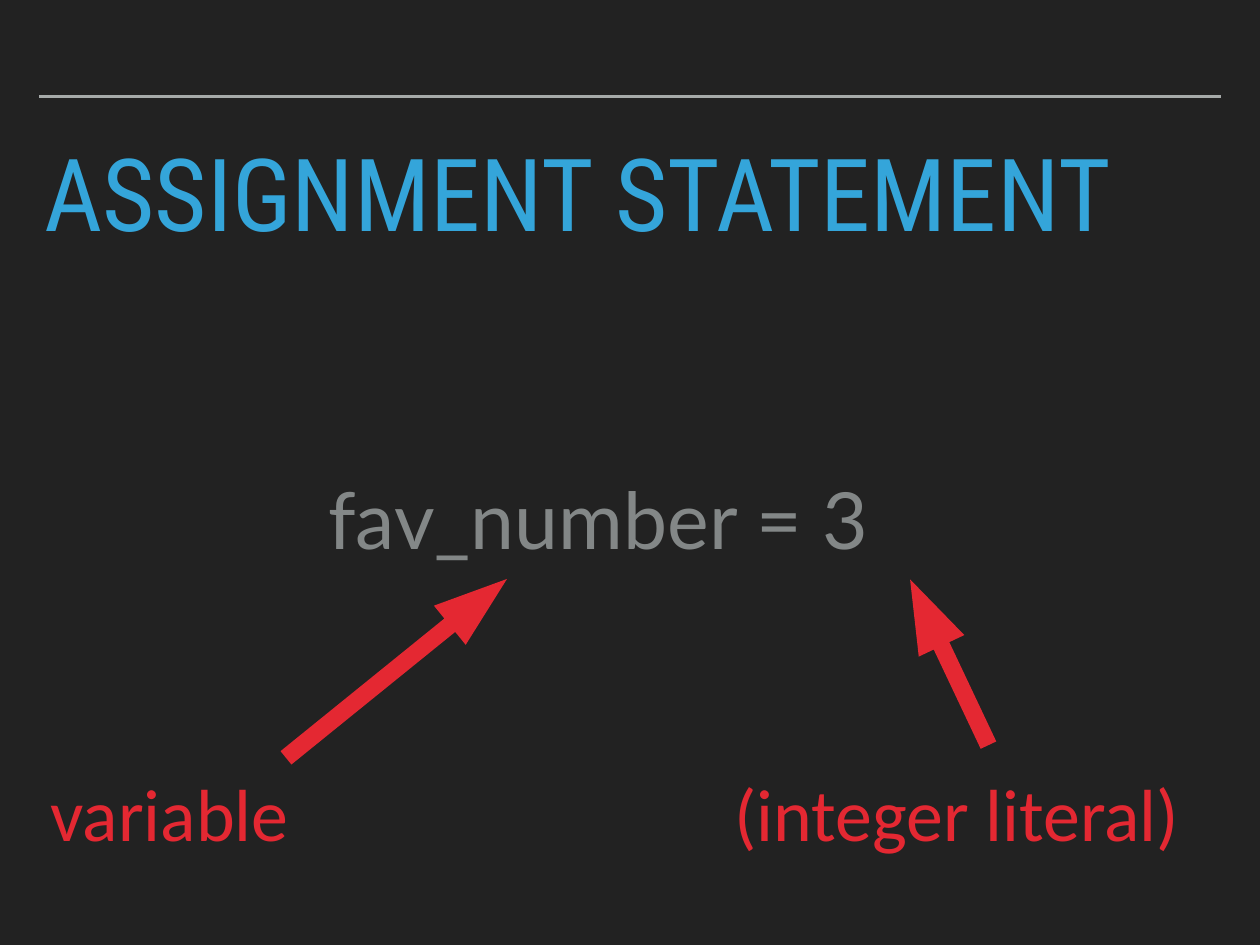
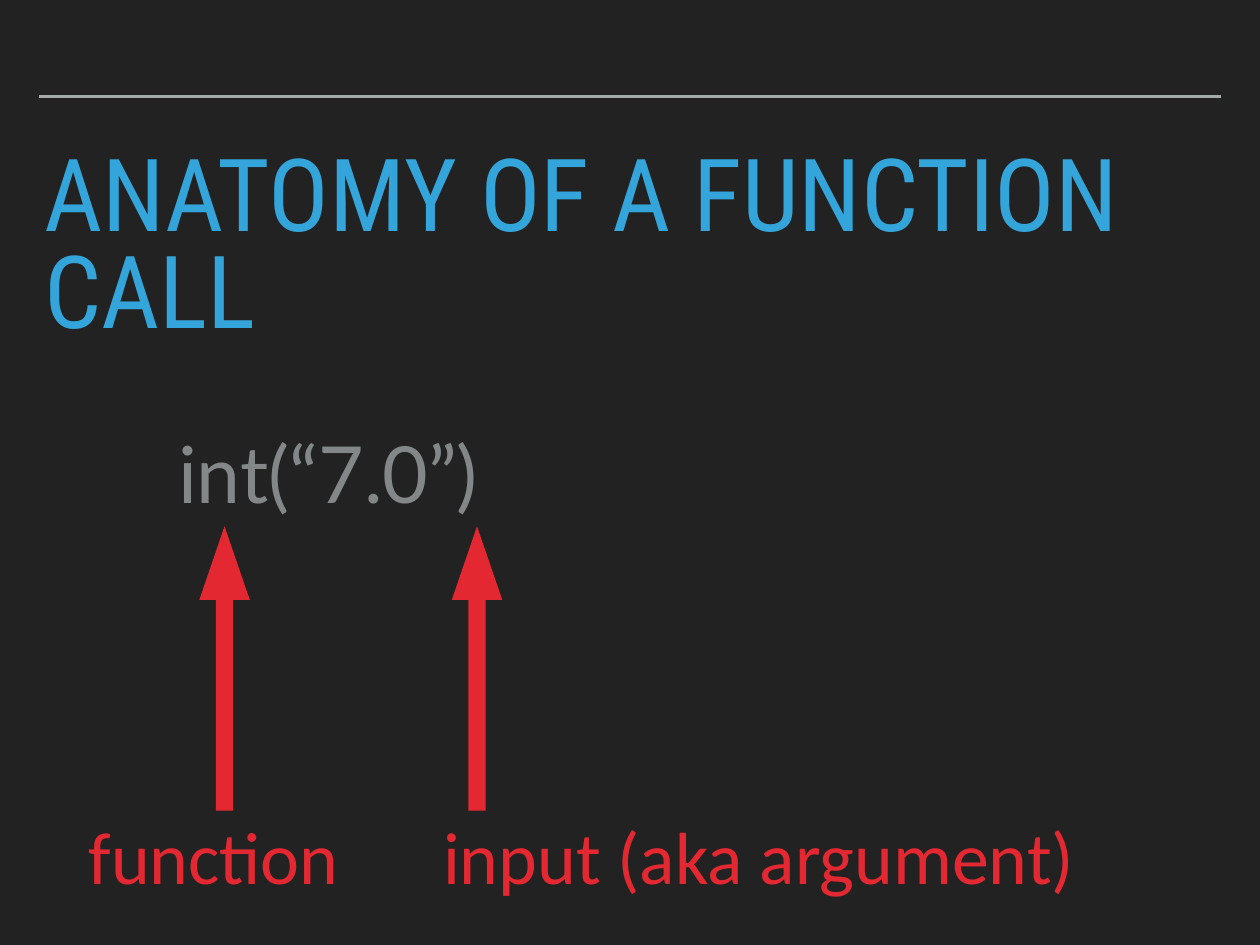
from dataclasses import dataclass

from lxml import etree
from pptx import Presentation
from pptx import util as u
from pptx.dml.color import RGBColor
from pptx.enum import shapes, text
from pptx.oxml import ns

WIDTH, HEIGHT = u.Inches(14.22), u.Inches(10.67)
BACKGROUND, RULE, BLUE, GREY, RED = "222222", "A6AAA9", "34A5DA", "838787", "E42832"
MARGIN, RULE_ROW = 3.1, 10.2
SHAFT, HEAD = 0.342, 1.459


@dataclass(frozen=True)
class Style:
    font: str
    size: float
    color: str
    height: float
    space_before: float = 24
    line_spacing: float = 1.0
    anchor: text.MSO_ANCHOR = text.MSO_ANCHOR.MIDDLE


@dataclass(frozen=True)
class Label:
    """Words in a box; places are percent of the slide."""
    words: str
    left: float
    top: float
    width: float
    style: Style


@dataclass(frozen=True)
class Arrow:
    """Pointer by its centre; length is percent of the slide width."""
    center_x: float
    center_y: float
    length: float
    angle: float


@dataclass(frozen=True)
class Page:
    title: str
    labels: tuple[Label, ...]
    arrows: tuple[Arrow, ...]


TITLE = Style("Roboto Condensed", 82, BLUE, 12, 19, 0.8, text.MSO_ANCHOR.TOP)
CODE = Style("Lato", 64, GREY, 11.06)
NOTE = Style("Calibri", 60, RED, 11.72)

PAGES = (
    Page(
        "ASSIGNMENT STATEMENT",
        (
            Label("fav_number = 3", 25.66, 49.31, 48.66, CODE),
            Label("variable", 3.59, 80.06, 22.43, NOTE),
            Label("(integer literal)", 57.87, 80.06, 40.5, NOTE),
        ),
        (Arrow(31.47, 70.73, 22.57, 321), Arrow(75.34, 70.08, 14.56, 244.7)),
    ),
    Page(
        "ANATOMY OF A FUNCTION CALL",
        (
            Label("int(“7.0”)", 13.71, 44.44, 35.02, CODE),
            Label("function", 6.61, 84.66, 22.85, NOTE),
            Label("input (aka argument)", 34.74, 84.66, 57.1, NOTE),
        ),
        (Arrow(17.82, 70.73, 22.57, 270), Arrow(37.86, 70.73, 22.57, 270)),
    ),
)


def across(share: float) -> int:
    return round(WIDTH * share / 100)


def down(share: float) -> int:
    return round(HEIGHT * share / 100)


def paint(fill, color: str) -> None:
    fill.solid()
    fill.fore_color.rgb = RGBColor.from_string(color)


def apply_format(target, values: dict) -> None:
    for name, value in values.items():
        setattr(target, name, value)


def draw_rule(slide) -> None:
    rule = slide.shapes.add_connector(
        shapes.MSO_CONNECTOR.STRAIGHT,
        across(MARGIN), down(RULE_ROW), across(100 - MARGIN), down(RULE_ROW),
    )
    rule.line.width = u.Pt(2)
    paint(rule.line.fill, RULE)
    properties = rule.element.find(ns.qn("p:spPr"))
    etree.SubElement(properties, ns.qn("a:effectLst"))


def draw_label(slide, label: Label) -> None:
    style = label.style
    frame = slide.shapes.add_textbox(
        across(label.left), down(label.top), across(label.width), down(style.height)
    ).text_frame
    inset = u.Inches(0.06)
    apply_format(frame, {
        "word_wrap": True,
        "auto_size": text.MSO_AUTO_SIZE.NONE,
        "vertical_anchor": style.anchor,
        "margin_left": inset,
        "margin_top": inset,
        "margin_right": inset,
        "margin_bottom": inset,
    })
    paragraph = frame.paragraphs[0]
    apply_format(paragraph, {
        "alignment": text.PP_ALIGN.LEFT,
        "space_before": u.Pt(style.space_before),
        "line_spacing": style.line_spacing,
    })
    run = paragraph.add_run()
    run.text = label.words
    apply_format(run.font, {"name": style.font, "size": u.Pt(style.size)})
    paint(run.font.fill, style.color)


def draw_arrow(slide, arrow: Arrow) -> None:
    length, thickness = across(arrow.length), across(4)
    pointer = slide.shapes.add_shape(
        shapes.MSO_SHAPE.RIGHT_ARROW,
        across(arrow.center_x) - length // 2,
        down(arrow.center_y) - thickness // 2,
        length, thickness,
    )
    pointer.rotation = arrow.angle
    pointer.adjustments[0], pointer.adjustments[1] = SHAFT, HEAD
    pointer.shadow.inherit = False
    paint(pointer.fill, RED)
    pointer.line.fill.background()


def draw_page(deck, page: Page) -> None:
    slide = deck.slides.add_slide(deck.slide_layouts[6])
    paint(slide.background.fill, BACKGROUND)
    draw_rule(slide)
    draw_label(slide, Label(page.title, MARGIN, 15.75, 100 - 2 * MARGIN, TITLE))
    for arrow in page.arrows:
        draw_arrow(slide, arrow)
    for label in page.labels:
        draw_label(slide, label)


def main() -> None:
    deck = Presentation()
    apply_format(deck, {"slide_width": WIDTH, "slide_height": HEIGHT})
    for page in PAGES:
        draw_page(deck, page)
    deck.save("out.pptx")


if __name__ == "__main__":
    main()
